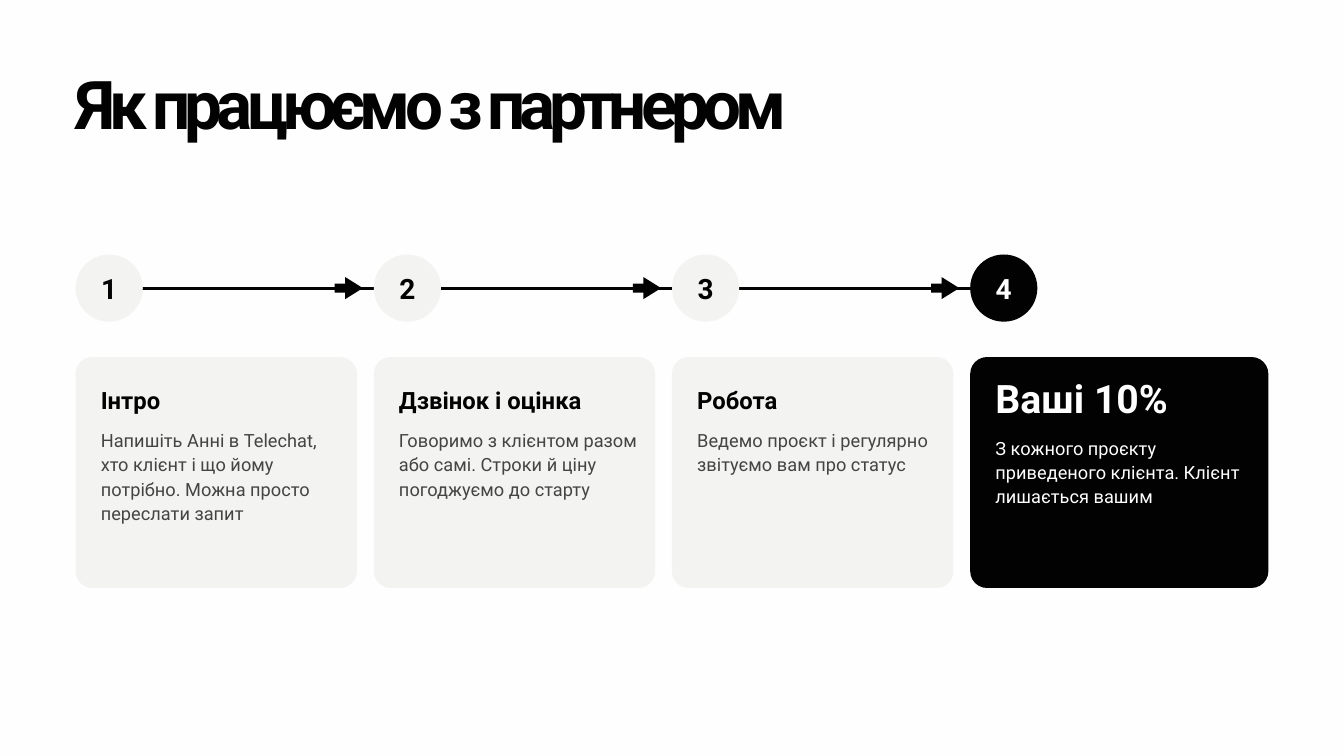
from dataclasses import dataclass

from lxml import etree
from pptx import Presentation
from pptx import util as u
from pptx.dml.color import RGBColor
from pptx.enum import shapes, text
from pptx.oxml.ns import qn

# Grid: 160 columns by 90 rows of square cells
CELL = 0.125
COLUMNS, ROWS = 160, 90


@dataclass(frozen=True)
class Theme:
    font: str = "Roboto"
    paper: str = "FFFEFE"
    ink: str = "020202"
    panel: str = "F3F3F1"
    muted: str = "444444"
    white: str = "FFFFFF"
    # Type styles: size, line spacing, bold
    title: tuple = (72, 72, True)
    number: tuple = (30, 36, True)
    heading: tuple = (25.5, 31.5, True)
    reward: tuple = (42, 48, True)
    body: tuple = (19.5, 26.2, False)


THEME = Theme()

STEPS = [
    ("Інтро", "Напишіть Анні в Telechat, хто клієнт і що йому потрібно. Можна просто переслати запит"),
    ("Дзвінок і оцінка", "Говоримо з клієнтом разом або самі. Строки й ціну погоджуємо до старту"),
    ("Робота", "Ведемо проєкт і регулярно звітуємо вам про статус"),
    ("Ваші 10%", "З кожного проєкту приведеного клієнта. Клієнт лишається вашим"),
]
LAST = len(STEPS) - 1
LEFT, PITCH, GAP = 9, 35.5, 2


def cells(*counts):
    return [u.Inches(count * CELL) for count in counts]


def color(value):
    return RGBColor.from_string(value)


def write(frame, words, style, ink, **paragraph_format):
    size, leading, bold = style
    frame.word_wrap = True
    for side in ("left", "top", "right", "bottom"):
        setattr(frame, f"margin_{side}", 0)
    para = frame.paragraphs[0]
    for name, value in {"line_spacing": u.Pt(leading), **paragraph_format}.items():
        setattr(para, name, value)
    span = para.add_run()
    span.text = words
    for name, value in {"name": THEME.font, "size": u.Pt(size), "bold": bold}.items():
        setattr(span.font, name, value)
    span.font.color.rgb = color(ink)
    return span


def add_text(page, box, words, style, ink):
    frame = page.shapes.add_textbox(*cells(*box)).text_frame
    return write(frame, words, style, ink)


def add_block(page, kind, box, fill, adjustments=()):
    block = page.shapes.add_shape(kind, *cells(*box))
    block.shadow.inherit = False
    block.fill.solid()
    block.fill.fore_color.rgb = color(fill)
    block.line.fill.background()
    for index, value in enumerate(adjustments):
        block.adjustments[index] = value
    return block


def add_title(page, box):
    span = add_text(page, box, "Як працюємо з партнером", THEME.title, THEME.ink)
    span.font._element.set("spc", "-630")


def add_timeline(page, box):
    left, top, width, size = box
    middle = top + size / 2
    starts = [left + index * PITCH for index in range(len(STEPS))]

    # Line from the first circle to the last
    line = page.shapes.add_connector(
        shapes.MSO_CONNECTOR.STRAIGHT,
        *cells(starts[0] + size / 2, middle, starts[-1] + size / 2, middle))
    line.line.color.rgb = color(THEME.ink)
    line.line.width = u.Pt(3)
    etree.SubElement(line._element.spPr, qn("a:effectLst"))

    # Arrow ahead of every next circle
    for start in starts[1:]:
        add_block(page, shapes.MSO_SHAPE.RIGHT_ARROW,
                  (start - 4.65, middle - 1.32, 3.35, 2.64), THEME.ink, (0.4, 0.8))

    # Numbered circles
    for index, start in enumerate(starts):
        fill, ink = (THEME.ink, THEME.white) if index == LAST else (THEME.panel, THEME.ink)
        circle = add_block(page, shapes.MSO_SHAPE.OVAL, (start, top, size, size), fill)
        circle.text_frame.vertical_anchor = text.MSO_ANCHOR.MIDDLE
        write(circle.text_frame, str(index + 1), THEME.number, ink,
              alignment=text.PP_ALIGN.CENTER)


def add_card(page, box, heading, body, final):
    left, top, width, height = box
    if final:
        fill, heading_ink, body_ink = THEME.ink, THEME.white, THEME.white
        style, heading_row, body_row, text_width = THEME.reward, 2.3, 9.2, 31
    else:
        fill, heading_ink, body_ink = THEME.panel, THEME.ink, THEME.muted
        style, heading_row, body_row, text_width = THEME.heading, 3.35, 8.3, 28.5
    add_block(page, shapes.MSO_SHAPE.ROUNDED_RECTANGLE, box, fill, (0.073,))
    add_text(page, (left + 3, top + heading_row, text_width, body_row - heading_row - 1.5),
             heading, style, heading_ink)
    add_text(page, (left + 3, top + body_row, text_width, 11.7), body, THEME.body, body_ink)


def add_cards(page, box):
    left, top, width, height = box
    for index, (heading, body) in enumerate(STEPS):
        final = index == LAST
        card_width = PITCH if final else PITCH - GAP
        add_card(page, (left + index * PITCH, top, card_width, height), heading, body, final)


def main():
    deck = Presentation()
    deck.slide_width, deck.slide_height = cells(COLUMNS, ROWS)
    page = deck.slides.add_slide(deck.slide_layouts[6])
    page.background.fill.solid()
    page.background.fill.fore_color.rgb = color(THEME.paper)

    width = len(STEPS) * PITCH
    add_title(page, (LEFT, 9, 143, 8))
    add_timeline(page, (LEFT, 30.3, width, 8))
    add_cards(page, (LEFT, 42.5, width, 27.5))
    deck.save("out.pptx")


if __name__ == "__main__":
    main()
